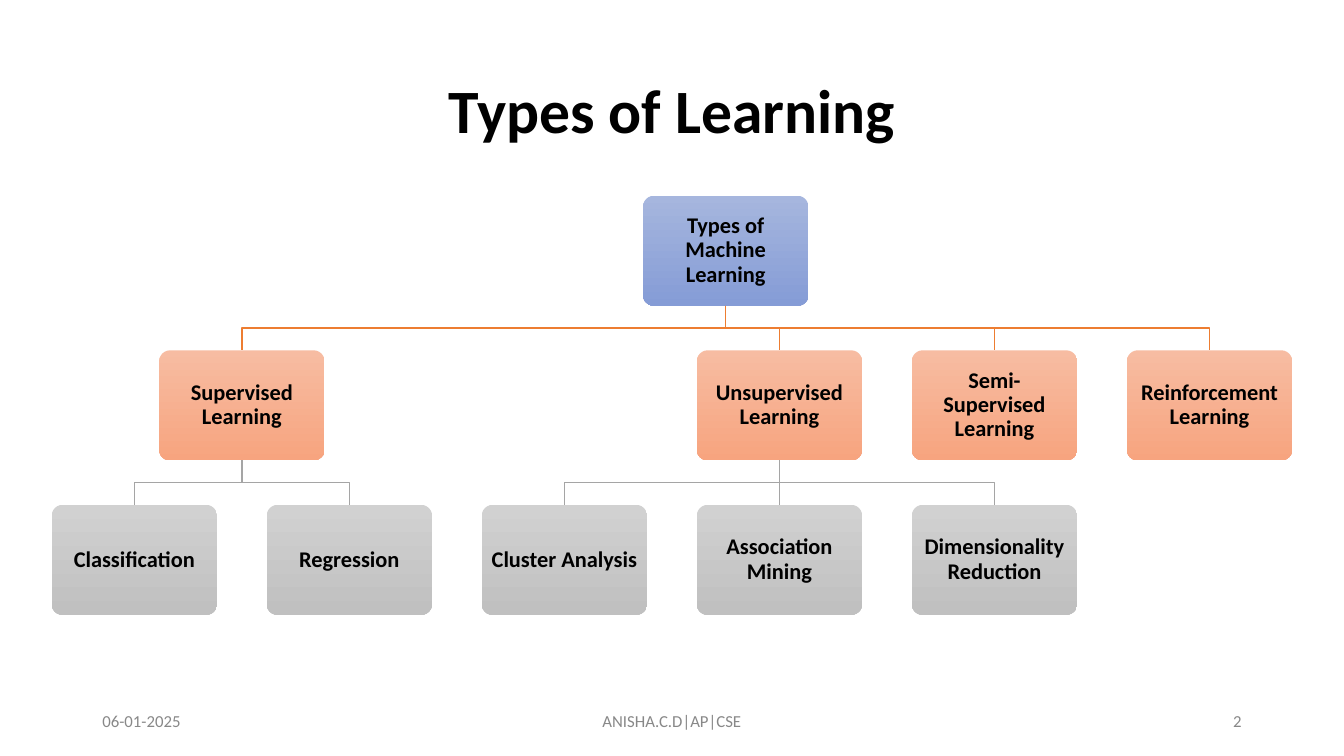
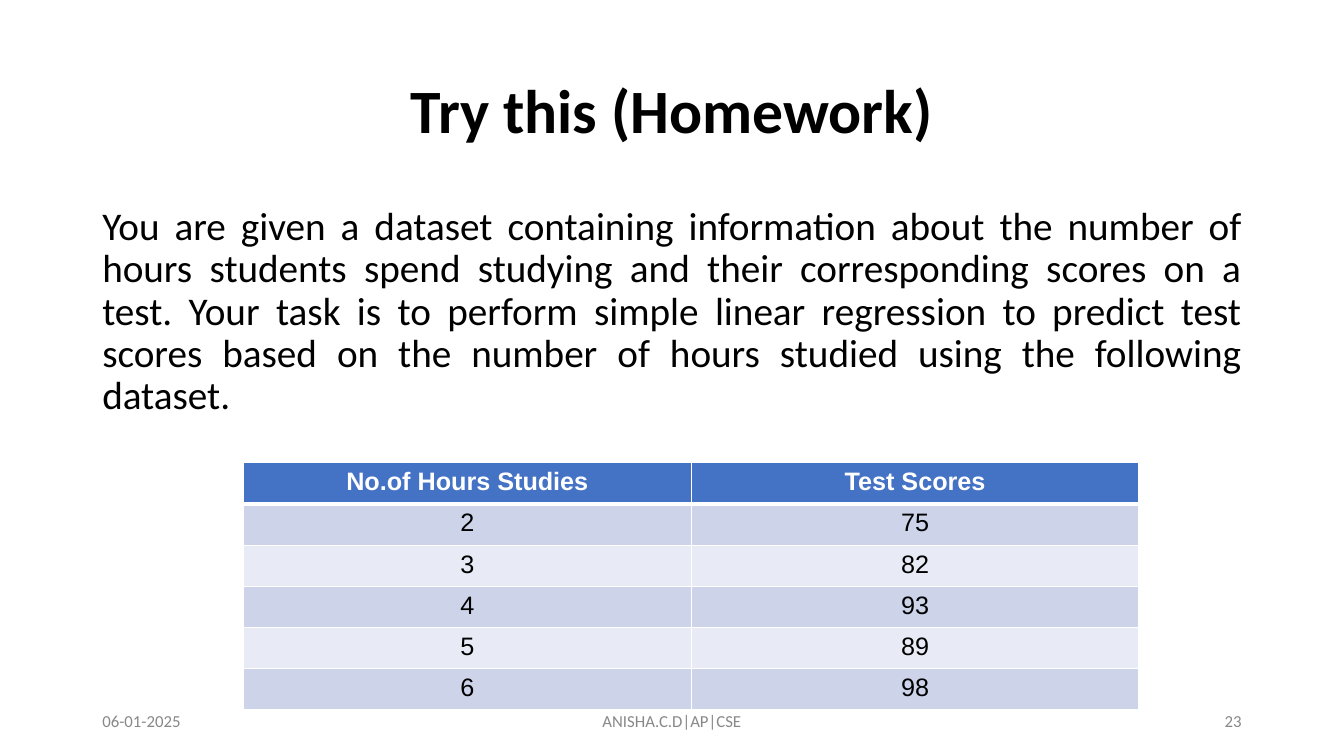
from collections import defaultdict

from lxml.etree import SubElement
from pptx import Presentation
from pptx.dml.color import RGBColor
from pptx.enum.shapes import MSO_CONNECTOR, MSO_SHAPE
from pptx.enum.text import MSO_ANCHOR, PP_ALIGN
from pptx.oxml.ns import qn
from pptx.util import Emu, Pt

# The slide is a grid of 16 columns by 9 rows of square units.
COLS, ROWS, UNIT = 16, 9, 762000
MARGIN, CONTENT_W = 1.1, 13.8
INSET_X, INSET_Y = 0.12, 0.06

BLACK = RGBColor(0x00, 0x00, 0x00)
WHITE = RGBColor(0xFF, 0xFF, 0xFF)
GREY = RGBColor(0x88, 0x88, 0x88)
HEADER_BLUE = RGBColor(0x44, 0x72, 0xC4)
BANDS = (RGBColor(0xCD, 0xD4, 0xEA), RGBColor(0xE8, 0xEB, 0xF5))

# Top and bottom colour of the boxes at each level of the tree.
LEVEL_FILLS = (
    (RGBColor(0xA6, 0xB6, 0xDE), RGBColor(0x85, 0x9C, 0xD6)),
    (RGBColor(0xF7, 0xBC, 0xA2), RGBColor(0xF7, 0xA4, 0x7F)),
    (RGBColor(0xD1, 0xD1, 0xD1), RGBColor(0xC0, 0xC0, 0xC0)),
)
# Colour of the lines that lead down from each level.
BRANCH_COLORS = (RGBColor(0xED, 0x7D, 0x31), RGBColor(0xA5, 0xA5, 0xA5))

TREE_LEFT, TREE_TOP = 1.6, 2.33
PITCH_X, PITCH_Y = 2.56, 1.84
BOX_W, BOX_H = 1.97, 1.31

LEARNING_TREE = ("Types of Machine Learning", [
    ("Supervised Learning", [
        ("Classification", []),
        ("Regression", []),
    ]),
    ("Unsupervised Learning", [
        ("Cluster Analysis", []),
        ("Association Mining", []),
        ("Dimensionality Reduction", []),
    ]),
    ("Semi-Supervised Learning", []),
    ("Reinforcement Learning", []),
])

TASK = (
    "You are given a dataset containing information about the number of hours "
    "students spend studying and their corresponding scores on a test. Your task "
    "is to perform simple linear regression to predict test scores based on the "
    "number of hours studied using the following dataset."
)
SCORES = [
    ("No.of Hours Studies", "Test Scores"),
    ("2", "75"),
    ("3", "82"),
    ("4", "93"),
    ("5", "89"),
    ("6", "98"),
]


def grid(*lengths):
    """Turn grid units into slide lengths."""
    return [Emu(round(n * UNIT)) for n in lengths]


class Deck:
    """Holds the shared style and the slide being built."""

    def __init__(self):
        self.prs = Presentation()
        self.prs.slide_width, self.prs.slide_height = grid(COLS, ROWS)
        self.s = None

    def new_slide(self, title, number):
        self.s = self.prs.slides.add_slide(self.prs.slide_layouts[6])
        self.text(title, (MARGIN, 0.48, CONTENT_W, 1.74), 44, bold=True,
                  align=PP_ALIGN.CENTER, spacing=0.9)
        for text, left, width, align in (
            ("06-01-2025", MARGIN, 3.6, PP_ALIGN.LEFT),
            ("ANISHA.C.D|AP|CSE", 5.3, 5.4, PP_ALIGN.CENTER),
            (str(number), 11.3, 3.6, PP_ALIGN.RIGHT),
        ):
            self.text(text, (left, 8.34, width, 0.48), 12, color=GREY, align=align)

    def fill_text(self, tf, text, size, font="Calibri", color=BLACK, bold=False,
                  align=PP_ALIGN.LEFT, spacing=None):
        p = tf.paragraphs[0]
        p.alignment = align
        p.line_spacing = spacing
        r = p.add_run()
        r.text = text
        r.font.size = Pt(size)
        r.font.name = font
        r.font.bold = bold
        r.font.color.rgb = color

    def frame(self, tf, anchor, inset_x=INSET_X, inset_y=INSET_Y):
        tf.word_wrap = True
        tf.vertical_anchor = anchor
        tf.margin_left, tf.margin_top, tf.margin_right, tf.margin_bottom = grid(
            inset_x, inset_y, inset_x, inset_y)

    def text(self, text, area, size, anchor=MSO_ANCHOR.MIDDLE, **style):
        tf = self.s.shapes.add_textbox(*grid(*area)).text_frame
        self.frame(tf, anchor)
        self.fill_text(tf, text, size, **style)

    def box(self, text, column, level):
        sp = self.s.shapes.add_shape(MSO_SHAPE.ROUNDED_RECTANGLE, *grid(
            TREE_LEFT + column * PITCH_X - BOX_W / 2, TREE_TOP + level * PITCH_Y,
            BOX_W, BOX_H))
        sp.adjustments[0] = 0.1
        sp.shadow.inherit = False
        sp.line.fill.background()
        sp.fill.gradient()
        sp.fill.gradient_angle = 270
        for stop, color in zip(sp.fill.gradient_stops, LEVEL_FILLS[level]):
            stop.color.rgb = color
        self.frame(sp.text_frame, MSO_ANCHOR.MIDDLE, 0.07, 0.07)
        self.fill_text(sp.text_frame, text, 16, bold=True,
                       align=PP_ALIGN.CENTER, spacing=0.9)
        return sp

    def branch(self, parent, child, color):
        """Join the bottom of one box to the top of another."""
        x1, y1 = parent.left + parent.width // 2, parent.top + parent.height
        x2, y2 = child.left + child.width // 2, child.top
        if abs(x1 - x2) < Pt(1):
            line = self.s.shapes.add_connector(MSO_CONNECTOR.STRAIGHT, x1, y1, x2, y2)
            line.begin_connect(parent, 2)
            line.end_connect(child, 0)
            SubElement(line._element.spPr, qn("a:effectLst"))
        else:
            middle = (y1 + y2) // 2
            outline = self.s.shapes.build_freeform(x1, y1)
            outline.add_line_segments([(x1, middle), (x2, middle), (x2, y2)], close=False)
            line = outline.convert_to_shape()
            line.fill.background()
            line.shadow.inherit = False
        line.line.color.rgb = color
        line.line.width = Pt(1)

    def tree(self, node, level=0, free=None):
        """Centre a node above its children; a leaf takes its level's next free column."""
        free = defaultdict(int) if free is None else free
        text, children = node
        placed = [self.tree(child, level + 1, free) for child in children]
        column = (placed[0][1] + placed[-1][1]) / 2 if placed else free[level]
        free[level] = column + 1
        sp = self.box(text, column, level)
        for child, _ in placed:
            self.branch(sp, child, BRANCH_COLORS[level])
        return sp, column

    def border(self, cell, bottom):
        """Give a cell white borders, with its own width at the bottom."""
        tc_pr = cell._tc.get_or_add_tcPr()
        for side, width in (("L", 1), ("R", 1), ("T", 1), ("B", bottom)):
            ln = SubElement(tc_pr, qn(f"a:ln{side}"), w=str(Pt(width)))
            fill = SubElement(ln, qn("a:solidFill"))
            SubElement(fill, qn("a:srgbClr"), val=str(WHITE))

    def table(self, rows, left, top, width, row_height):
        table = self.s.shapes.add_table(len(rows), len(rows[0]), *grid(
            left, top, width, row_height * len(rows))).table
        for i, row in enumerate(rows):
            header = i == 0
            for j, text in enumerate(row):
                cell = table.cell(i, j)
                self.border(cell, 3 if header else 1)
                cell.fill.solid()
                cell.fill.fore_color.rgb = HEADER_BLUE if header else BANDS[(i - 1) % 2]
                self.fill_text(cell.text_frame, text, 18, font="Arial", bold=header,
                               color=WHITE if header else BLACK, align=PP_ALIGN.CENTER)


def main():
    deck = Deck()
    deck.new_slide("Types of Learning", 2)
    deck.tree(LEARNING_TREE)

    deck.new_slide("Try this (Homework)", 23)
    deck.text(TASK, (MARGIN, 2.4, CONTENT_W, 5.71), 28, MSO_ANCHOR.TOP,
              align=PP_ALIGN.JUSTIFY, spacing=0.9)
    deck.table(SCORES, 2.9, 5.51, 10.66, 0.49)
    deck.prs.save("out.pptx")


if __name__ == "__main__":
    main()
